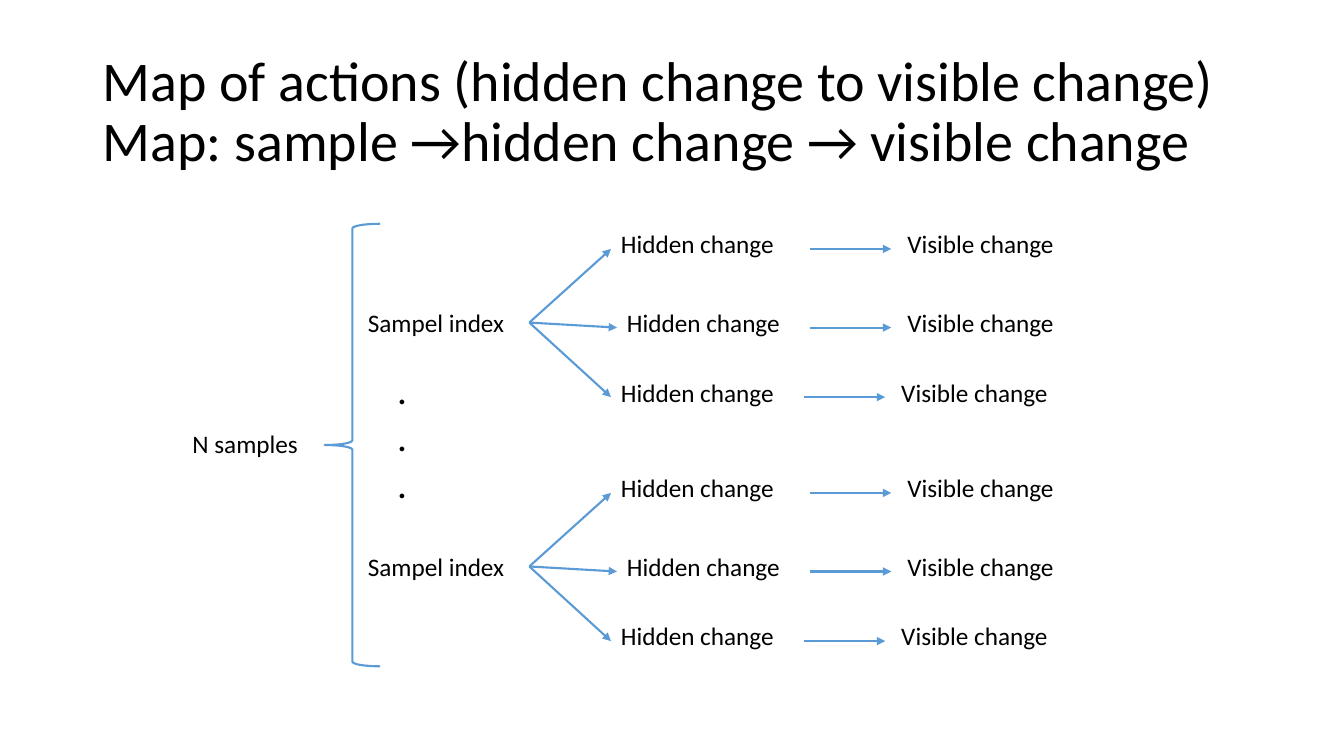
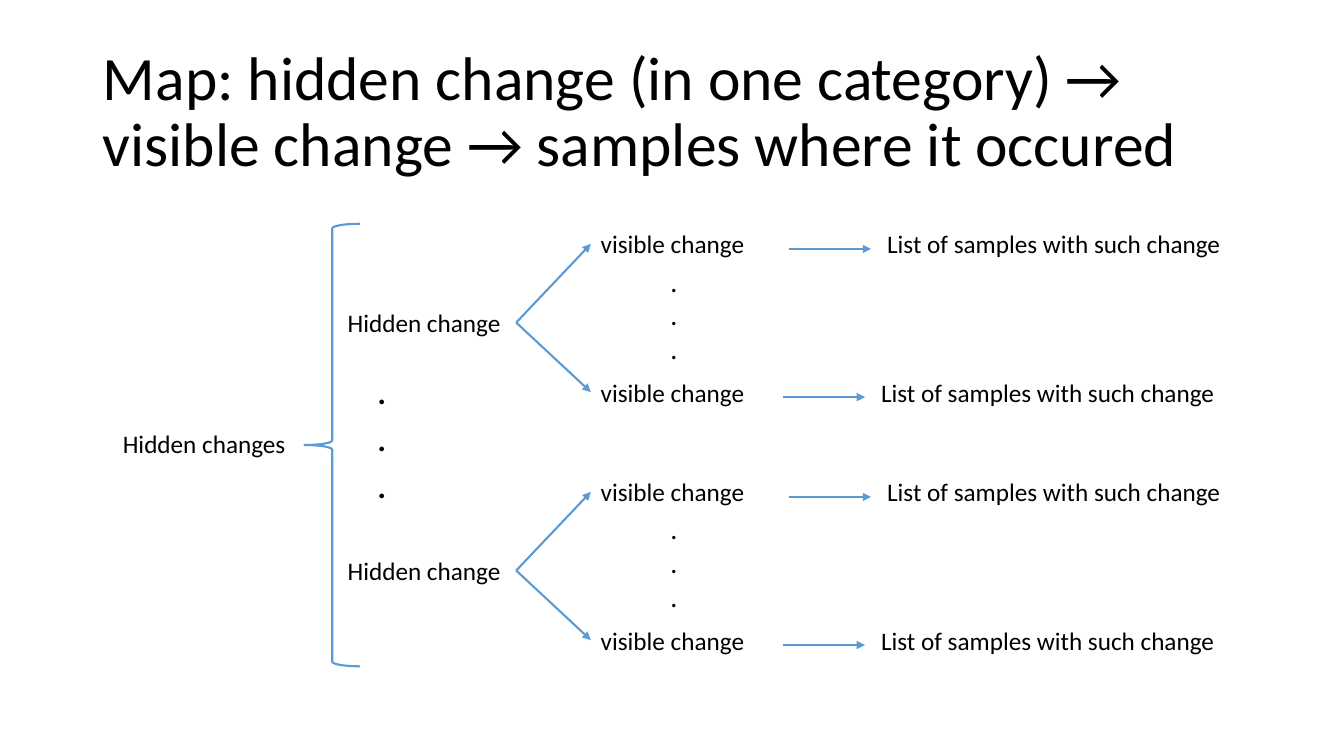
from lxml.etree import SubElement
from pptx import Presentation
from pptx.dml.color import RGBColor
from pptx.enum.shapes import MSO_CONNECTOR, MSO_SHAPE
from pptx.enum.text import MSO_ANCHOR, MSO_AUTO_SIZE, PP_ALIGN
from pptx.oxml.ns import qn
from pptx.util import Inches, Pt

COLORS = {"text": "000000", "line": "5B9BD5", "back": "FFFFFF"}
FONT = "Calibri"
TITLE_BOX = (0.92, 0.4, 11.5, 1.45)
TITLE_FRAME = {"vertical_anchor": MSO_ANCHOR.MIDDLE, "word_wrap": True,
               "auto_size": MSO_AUTO_SIZE.NONE}
LABEL_FRAME = {"word_wrap": True, "auto_size": MSO_AUTO_SIZE.SHAPE_TO_FIT_TEXT}
TITLE_PARA = {"alignment": PP_ALIGN.LEFT, "line_spacing": 0.9}
LABEL_DROP = 0.78
FORK_DROP = 0.98
TREE_TOP, TREE_HEIGHT = 2.22, 4.39

SLIDES = [
    {"title": "Map of actions (hidden change to visible change)\v"
              "Map: sample →hidden change → visible change",
     "size": 40, "left": 3.22, "root": ("N samples", 1.81, 1.51),
     "label": "Sampel index", "label_w": 1.7, "step": 2.42,
     "middle": "Hidden change", "leaf": "Visible change", "leaf_w": 2.62,
     "row_h": 0.5, "rows": [(0, 0, 0), (0.06, 0.78, 0), (0, 1.47, -0.06)],
     "dots": False},
    {"title": "Map: hidden change (in one category) → "
              "visible change → samples where it occured",
     "size": 44, "left": 3.02, "root": ("Hidden changes", 1.12, 1.83),
     "label": "Hidden change", "label_w": 1.77, "step": 2.46,
     "middle": "visible change", "leaf": "List of samples with such change",
     "leaf_w": 3.58, "row_h": 0.4, "rows": [(0, 0, 0), (0, 1.47, -0.06)],
     "dots": True},
]


def apply(obj, values):
    """Set every attribute named in a dict of format values."""
    for name, value in values.items():
        setattr(obj, name, value)


def color(name):
    """Return a palette colour."""
    return RGBColor.from_string(COLORS[name])


def format_text(tf, size, frame, para):
    """Give a whole text frame one font, size and paragraph style."""
    apply(tf, frame)
    for p in tf.paragraphs:
        apply(p, para)
        for r in p.runs:
            apply(r.font, {"name": FONT, "size": Pt(size), "bold": False})
            r.font.color.rgb = color("text")


def add_title(s, text, size):
    """Fill and place the title placeholder."""
    sp = s.shapes.title
    apply(sp, dict(zip(("left", "top", "width", "height"), map(Inches, TITLE_BOX))))
    sp.text_frame.text = text
    format_text(sp.text_frame, size, TITLE_FRAME, TITLE_PARA)


def add_label(s, text, x, y, w, h=0.4, size=18):
    """Add a text box that wraps inside its width."""
    sp = s.shapes.add_textbox(*map(Inches, (x, y, w, h)))
    sp.text_frame.text = text
    format_text(sp.text_frame, size, LABEL_FRAME, {})


def add_dots(s, x, y, h, size):
    """Add a vertical ellipsis of three paragraphs."""
    add_label(s, "\n".join("..."), x, y, 0.48, h, size)


def format_line(line):
    """Apply the shared line style."""
    line.color.rgb = color("line")
    line.width = Pt(1.5)


def add_arrow(s, x1, y1, x2, y2):
    """Add a straight arrow from the first point to the second."""
    sp = s.shapes.add_connector(MSO_CONNECTOR.STRAIGHT, *map(Inches, (x1, y1, x2, y2)))
    format_line(sp.line)
    SubElement(sp.line._get_or_add_ln(), qn("a:tailEnd"), type="triangle")
    SubElement(sp._element.spPr, qn("a:effectLst"))


def add_branch(s, x, y, d):
    """Add one label, its fork and the rows it leads to."""
    fork_x, fork_y = x + d["label_w"], y + FORK_DROP
    add_label(s, d["label"], x, y + LABEL_DROP, d["label_w"])
    for indent, drop, shift in d["rows"]:
        mid_x, row_y, leaf_x = x + 2.51 + indent, y + drop, x + 5.35 + shift
        arrow_y = row_y + 0.25
        add_arrow(s, fork_x, fork_y, mid_x, row_y + d["row_h"] / 2)
        add_label(s, d["middle"], mid_x, row_y, 2.62, d["row_h"])
        add_arrow(s, leaf_x - 0.87, arrow_y, leaf_x - 0.06, arrow_y)
        add_label(s, d["leaf"], leaf_x, row_y, d["leaf_w"], d["row_h"])
    if d["dots"]:
        add_dots(s, x + 3.2, y + 0.35, 1.11, 20)


def add_tree(s, x, y, h, d):
    """Add the root label, the brace and two branches."""
    text, root_x, root_w = d["root"]
    add_label(s, text, root_x, y + h / 2 - 0.21, root_w)
    sp = s.shapes.add_shape(MSO_SHAPE.LEFT_BRACE, *map(Inches, (x, y, 0.55, h)))
    sp.shadow.inherit = False
    sp.fill.background()
    format_line(sp.line)
    add_dots(s, x + 0.62, y + 1.35, 1.51, 28)
    for i in range(2):
        add_branch(s, x + 0.33, y + i * d["step"], d)


def add_map_slide(prs, d):
    """Add a slide with a title and a map."""
    s = prs.slides.add_slide(prs.slide_layouts[5])
    s.background.fill.solid()
    s.background.fill.fore_color.rgb = color("back")
    add_title(s, d["title"], d["size"])
    add_tree(s, d["left"], TREE_TOP, TREE_HEIGHT, d)


prs = Presentation()
apply(prs, {"slide_width": Inches(13.33), "slide_height": Inches(7.5)})
for d in SLIDES:
    add_map_slide(prs, d)
prs.save("out.pptx")
